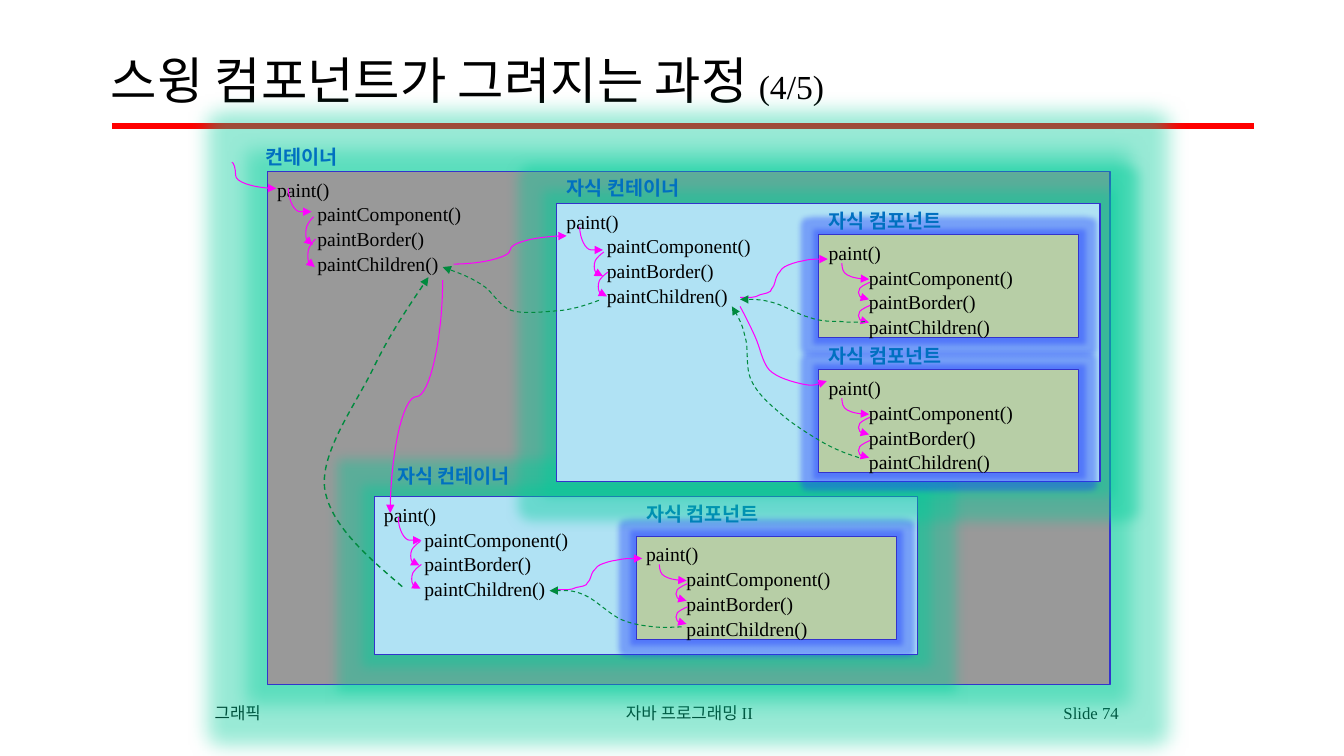
from lxml.etree import SubElement
from pptx import Presentation
from pptx.dml.color import RGBColor
from pptx.enum.dml import MSO_LINE
from pptx.enum.shapes import MSO_CONNECTOR, MSO_SHAPE
from pptx.enum.text import MSO_ANCHOR, PP_ALIGN
from pptx.oxml.ns import qn
from pptx.util import Inches, Pt

FONT = "Times New Roman"
PINK, GREEN, BLACK, LABEL = "FF00FF", "008A3E", "000000", "0070C0"
GRAY, SKY, OLIVE, BORDER = "999999", "B0E2F4", "B7CEA6", "3333CC"
MINT_GLOW, BLUE_GLOW = "00CC99", "1F3DFF"
STEPS = ("paint()", "\tpaintComponent()", "\tpaintBorder()", "\tpaintChildren()")
PAGE = (0, 0, 1, 1)
HOOK = [(1, 0), (.65, .1), (.3, .24), (.15, .35), (0, .5), (0, .71), (.15, .82),
        (.3, .93), (.75, .95), (.91, 1)]
ELBOW = [(0, 0), (0, .3), (.04, .6), (.19, .73), (.38, .9), (.68, 1), (1, 1)]
CALL = [(0, 1), (.04, 1), (.08, 1), (.13, 1), (.16, 1), (.2, .97), (.23, .93),
        (.28, .9), (.36, .88), (.36, .78), (.4, .7), (.4, .5), (.43, .4),
        (.47, .3), (.46, .27), (.51, .2), (.56, .14), (.63, .08), (.71, .05),
        (.79, 0), (.9, 0), (1, 0)]
FAR_CALL = [(7.34, 3.04), (7.39, 3.13), (7.44, 3.23), (7.49, 3.34), (7.54, 3.45),
            (7.56, 3.59), (7.63, 3.67), (7.71, 3.75), (7.87, 3.79), (7.96, 3.81),
            (8.06, 3.83), (8.13, 3.81), (8.2, 3.78)]
RETURNS = [
    [(8.58, 3.19), (8.5, 3.2), (8.43, 3.2), (8.34, 3.19), (8.25, 3.19), (8.14, 3.19),
     (8.03, 3.15), (7.91, 3.12), (7.78, 3.03), (7.66, 3), (7.55, 2.97), (7.44, 2.97),
     (7.34, 2.97)],
    [(8.52, 4.54), (8.42, 4.51), (8.31, 4.47), (8.18, 4.4), (8.06, 4.33), (7.86, 4.21),
     (7.74, 4.1), (7.62, 4), (7.51, 3.9), (7.45, 3.77), (7.39, 3.64), (7.43, 3.46),
     (7.39, 3.34), (7.36, 3.21), (7.31, 3.12), (7.26, 3.04)],
    [(6.76, 6.22), (6.68, 6.22), (6.6, 6.23), (6.5, 6.22), (6.41, 6.21), (6.29, 6.2),
     (6.17, 6.15), (6.05, 6.1), (5.91, 5.95), (5.79, 5.9), (5.67, 5.85), (5.56, 5.86),
     (5.45, 5.86)],
    [(5.94, 2.98), (5.83, 3.02), (5.72, 3.06), (5.57, 3.08), (5.43, 3.09), (5.2, 3.12),
     (5.07, 3.08), (4.94, 3.03), (4.89, 2.89), (4.77, 2.82), (4.66, 2.75), (4.53, 2.7),
     (4.39, 2.65)],
]
LONG_RETURN = [(3.99, 5.82), (3.63, 5.51), (3.27, 5.2), (3.22, 4.84), (3.18, 4.48),
               (3.53, 4.01), (3.7, 3.66), (3.87, 3.31), (4.06, 3.03), (4.25, 2.75)]


def rgb(value):
    """Turn a hex string into a colour."""
    return RGBColor.from_string(value)


def write(p, text, size=14, color=BLACK, bold=False, tabs=()):
    """Add a formatted run to a paragraph, with (inches, alignment) tab stops."""
    if tabs:
        lst = SubElement(p._p.get_or_add_pPr(), qn("a:tabLst"))
        for pos, algn in tabs:
            SubElement(lst, qn("a:tab"), pos=str(Inches(pos)), algn=algn)
    r = p.add_run()
    r.text = text
    f = r.font
    f.name, f.size, f.bold = FONT, Pt(size), bold
    f.color.rgb = rgb(color)


def text_box(s, x, y, w, h, wrap=False, anchor=MSO_ANCHOR.TOP):
    """Add an empty text box and return its first paragraph."""
    tf = s.shapes.add_textbox(Inches(x), Inches(y), Inches(w), Inches(h)).text_frame
    tf.word_wrap, tf.vertical_anchor = wrap, anchor
    return tf.paragraphs[0]


def stroke(sp, color, width=.75, dash=False, arrow=True):
    """Format an outline, with an optional dash and arrowhead."""
    sp.line.color.rgb = rgb(color)
    sp.line.width = Pt(width)
    if dash:
        sp.line.dash_style = MSO_LINE.DASH
    if arrow:
        SubElement(sp.line._get_or_add_ln(), qn("a:tailEnd"), type="triangle")


def curve(s, box, points, color=PINK, **fmt):
    """Draw a cubic Bezier path whose points are shares of the box."""
    x, y, w, h = box
    pts = [(Inches(x + px * w), Inches(y + py * h)) for px, py in points]
    b = s.shapes.build_freeform(*pts[0])
    b.add_line_segments(pts[1:], close=False)
    sp = b.convert_to_shape()
    sp.shadow.inherit = False
    sp.fill.background()
    stroke(sp, color, **fmt)
    lines = list(sp._element.iter(qn("a:lnTo")))
    for i in range(0, len(lines), 3):
        cubic = SubElement(lines[i].getparent(), qn("a:cubicBezTo"))
        for line in lines[i:i + 3]:
            cubic.append(line[0])
            line.getparent().remove(line)


def connect(s, start, end, kind=MSO_CONNECTOR.CURVE, vertical=False, adj=None,
            color=PINK, **fmt):
    """Draw a connector, which leaves downwards when vertical."""
    (x1, y1), (x2, y2) = start, end
    side = 1 if x2 > x1 else -1
    if vertical:
        cx, cy = (x1 + x2) / 2, (y1 + y2) / 2
        v, h = side * (y2 - y1) / 2, abs(x2 - x1) / 2
        x1, y1, x2, y2 = cx + v, cy - h, cx - v, cy + h
    c = s.shapes.add_connector(kind, *map(Inches, (x1, y1, x2, y2)))
    spPr = c._element.spPr
    if vertical:
        spPr.find(qn("a:xfrm")).set("rot", str((270 if side > 0 else 90) * 60000))
    if adj is not None:
        av = spPr.find(qn("a:prstGeom")).find(qn("a:avLst"))
        SubElement(av, qn("a:gd"), name="adj1", fmla=f"val {adj}")
    stroke(c, color, **fmt)
    SubElement(spPr, qn("a:effectLst"))


def paint_box(s, box, label, fill, glow, radius, shift, elbow, hooks, hook_size):
    """Draw a component box with its label, paint steps and step arrows."""
    x, y, w, h = box
    sp = s.shapes.add_shape(MSO_SHAPE.RECTANGLE, *map(Inches, box))
    sp.fill.solid()
    sp.fill.fore_color.rgb = rgb(fill)
    stroke(sp, BORDER, arrow=False)
    sp.shadow.inherit = False
    effects = sp._element.spPr.find(qn("a:effectLst"))
    halo = SubElement(effects, qn("a:glow"), rad=str(Pt(radius)))
    clr = SubElement(halo, qn("a:srgbClr"), val=glow)
    SubElement(clr, qn("a:alpha"), val="40000")
    tf = sp.text_frame
    tf.vertical_anchor = MSO_ANCHOR.TOP
    for i, step in enumerate(STEPS):
        p = tf.add_paragraph() if i else tf.paragraphs[0]
        p.alignment, p.line_spacing = PP_ALIGN.LEFT, 1.05
        write(p, step, tabs=[(.4, "l")])
    write(text_box(s, x + shift[0], y + shift[1], 1.45, .34), label,
          color=LABEL, bold=True)
    ex, ey = x + elbow[0], y + elbow[1]
    if fill == OLIVE:
        curve(s, (ex, ey, .27, .16), ELBOW)
    else:
        connect(s, (ex, ey), (ex + .23, ey + .23), vertical=True, adj=100000)
    for hx, hy in hooks:
        curve(s, (x + hx, y + hy, *hook_size), HOOK)


def container(s, box, label, shift, elbow, hooks, hook_size=(.1, .24), fill=SKY,
              radius=18):
    """Draw a container box with a mint glow."""
    paint_box(s, box, label, fill, MINT_GLOW, radius, shift, elbow, hooks, hook_size)


def component(s, x, y, rise=.31):
    """Draw a child component box with a blue glow."""
    paint_box(s, (x, y, 2.58, 1.02), "자식 컴포넌트", OLIVE, BLUE_GLOW, 8, (0, -rise),
              (.23, .28), [(.39, .47), (.39, .7)], (.12, .17))


def frame(s):
    """Draw the title, its rule and the footer."""
    connect(s, (1.11, 1.25), (12.44, 1.25), MSO_CONNECTOR.STRAIGHT, color="FF0000",
            width=4, arrow=False)
    write(text_box(s, 2.03, 6.92, 9.25, .3, wrap=True),
          "그래픽\t자바 프로그래밍 II\tSlide 74", size=12,
          tabs=[(4.71, "ctr"), (8.97, "r")])
    p = text_box(s, 1, .33, 11.33, .92, wrap=True, anchor=MSO_ANCHOR.MIDDLE)
    write(p, "스윙 컴포넌트가 그려지는 과정 ", size=36)
    write(p, "(4/5)", size=24)


def diagram(s):
    """Draw the nested boxes and the calls and returns between them."""
    container(s, (2.65, 1.7, 8.36, 5.09), "컨테이너", (-.12, -.31), (.21, .17),
              [(.38, .45), (.4, .67)], (.08, .28), GRAY, 28)
    container(s, (3.71, 4.93, 5.39, 1.56), "자식 컨테이너", (.13, -.38), (.24, .2),
              [(.36, .44), (.37, .67)])
    component(s, 6.31, 5.32, .39)
    container(s, (5.52, 2.02, 5.39, 2.76), "자식 컨테이너", (0, -.32), (.23, .23),
              [(.37, .48), (.41, .68)])
    for y in (2.33, 3.67):
        component(s, 8.12, y)
    connect(s, (2.3, 1.61), (2.74, 1.87), adj=8500)
    connect(s, (4.5, 2.62), (5.62, 2.34))
    connect(s, (4.39, 2.78), (3.87, 5.09), vertical=True)
    for box in ((7.34, 2.57, .87, .38), (5.52, 5.54, .85, .31)):
        curve(s, box, CALL)
    curve(s, PAGE, FAR_CALL)
    for points in RETURNS:
        curve(s, PAGE, points, GREEN, dash=True)
    curve(s, PAGE, LONG_RETURN, GREEN, width=1, dash=True)


def main():
    """Build and save the slide."""
    prs = Presentation()
    prs.slide_width, prs.slide_height = Inches(13.33), Inches(7.5)
    s = prs.slides.add_slide(prs.slide_layouts[6])
    frame(s)
    diagram(s)
    prs.save("out.pptx")


if __name__ == "__main__":
    main()
